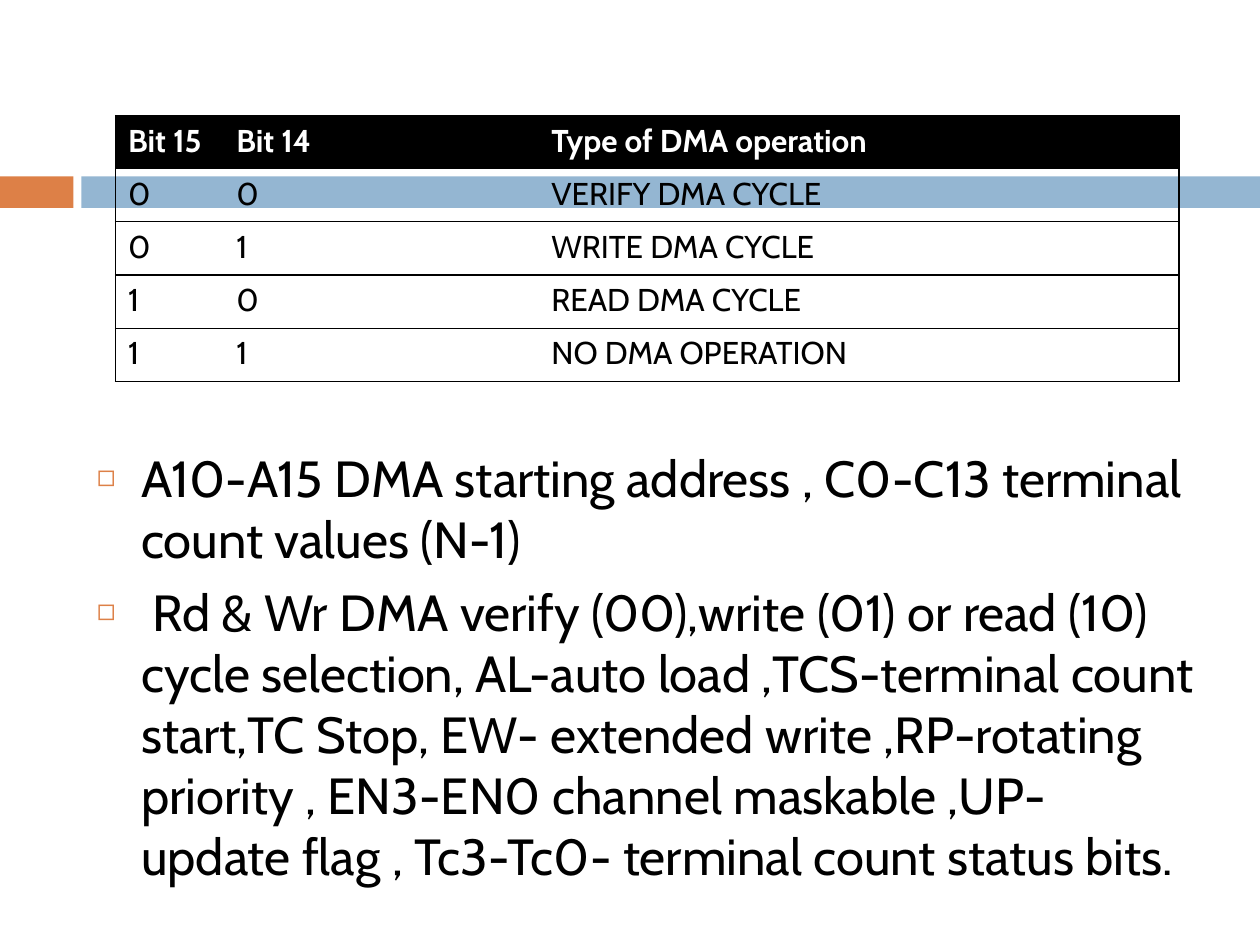
from dataclasses import dataclass

import pptx
import pptx.dml.color
import pptx.enum.shapes
import pptx.enum.text
import pptx.oxml
import pptx.oxml.ns
import pptx.util
from pptx.util import Pt

RGBColor = pptx.dml.color.RGBColor
BLACK = RGBColor(0x00, 0x00, 0x00)
WHITE = RGBColor(0xFF, 0xFF, 0xFF)
ORANGE = RGBColor(0xDD, 0x80, 0x47)
BLUE = RGBColor(0x94, 0xB6, 0xD2)
FONT = "Cabin"
EDGE = 0.79
NS = pptx.oxml.ns.nsdecls("a")

WIDTHS = (61.9, 180, 365.8)
ROW = 30.4
ROWS = (
    ("Bit 15", "Bit 14", "Type of DMA operation"),
    ("0", "0", "VERIFY DMA CYCLE"),
    ("0", "1", "WRITE DMA CYCLE"),
    ("1", "0", "READ DMA CYCLE"),
    ("1", "1", "NO DMA OPERATION"),
)
NOTES = (
    "A10-A15 DMA starting address , C0-C13 terminal count values (N-1)",
    " Rd & Wr DMA verify (00),write (01) or read (10) cycle selection, "
    "AL-auto load ,TCS-terminal count start,TC Stop, EW- extended write ,"
    "RP-rotating priority , EN3-EN0 channel maskable ,UP-update flag , "
    "Tc3-Tc0- terminal count status bits.",
)


@dataclass
class Bar:
    left: float
    width: float
    color: RGBColor


BARS = (Bar(0, 42, ORANGE), Bar(46.5, 673.5, BLUE))


def write(para, text: str, *, size: float, color=BLACK, bold=False) -> None:
    run = para.add_run()
    run.text = text
    font = run.font
    font.name = FONT
    font.size = Pt(size)
    font.bold = bold
    font.color.rgb = color


def draw_bar(slide, bar: Bar) -> None:
    kind = pptx.enum.shapes.MSO_SHAPE.RECTANGLE
    shape = slide.shapes.add_shape(
        kind, Pt(bar.left), Pt(100.8), Pt(bar.width), Pt(18))
    shape.shadow.inherit = False
    shape.fill.solid()
    shape.fill.fore_color.rgb = bar.color
    shape.line.fill.background()


def set_edge(cell, side: str, shown: bool) -> None:
    fill = (f'<a:solidFill><a:srgbClr val="{BLACK}"/></a:solidFill>'
            if shown else "<a:noFill/>")
    props = cell._tc.get_or_add_tcPr()
    props.append(pptx.oxml.parse_xml(
        f'<a:ln{side} {NS} w="{Pt(EDGE)}">{fill}</a:ln{side}>'))


def draw_grid(slide) -> None:
    grid = slide.shapes.add_table(
        len(ROWS), len(WIDTHS), Pt(66), Pt(66),
        Pt(sum(WIDTHS)), Pt(ROW * len(ROWS))).table
    grid.horz_banding = False
    for col, width in zip(grid.columns, WIDTHS):
        col.width = Pt(width)
    for r, row in enumerate(ROWS):
        grid.rows[r].height = Pt(ROW)
        for c, text in enumerate(row):
            cell = grid.cell(r, c)
            head = r == 0
            write(cell.text_frame.paragraphs[0], text, size=18,
                  color=WHITE if head else BLACK, bold=head)
            set_edge(cell, "L", c == 0)
            set_edge(cell, "R", c == len(WIDTHS) - 1)
            set_edge(cell, "T", True)
            set_edge(cell, "B", True)
            if head:
                cell.fill.solid()
                cell.fill.fore_color.rgb = BLACK
            else:
                cell.fill.background()


def add_mark(para) -> None:
    props = para._p.get_or_add_pPr()
    props.set("marL", str(Pt(25.2)))
    props.set("indent", str(-Pt(25.2)))
    for part in (
        f'<a:buClr {NS}><a:srgbClr val="{ORANGE}"/></a:buClr>',
        f'<a:buSzPct {NS} val="60000"/>',
        f'<a:buFont {NS} typeface="{FONT}"/>',
        f'<a:buChar {NS} char="◻"/>',
    ):
        props.append(pptx.oxml.parse_xml(part))


def fill_body(body) -> None:
    body.left, body.top = Pt(48.2), Pt(251.6)
    body.width, body.height = Pt(642.2), Pt(264)
    frame = body.text_frame
    frame.word_wrap = True
    frame.auto_size = pptx.enum.text.MSO_AUTO_SIZE.NONE
    for i, text in enumerate(NOTES):
        para = frame.add_paragraph() if i else frame.paragraphs[0]
        para.space_before = Pt(7)
        add_mark(para)
        write(para, text, size=29)


def main() -> None:
    deck = pptx.Presentation()
    deck.slide_width, deck.slide_height = Pt(720), Pt(540)
    slide = deck.slides.add_slide(deck.slide_layouts[1])
    title = slide.shapes.title
    title._element.getparent().remove(title._element)
    for bar in BARS:
        draw_bar(slide, bar)
    fill_body(slide.placeholders[1])
    draw_grid(slide)
    deck.save("out.pptx")


if __name__ == "__main__":
    main()
